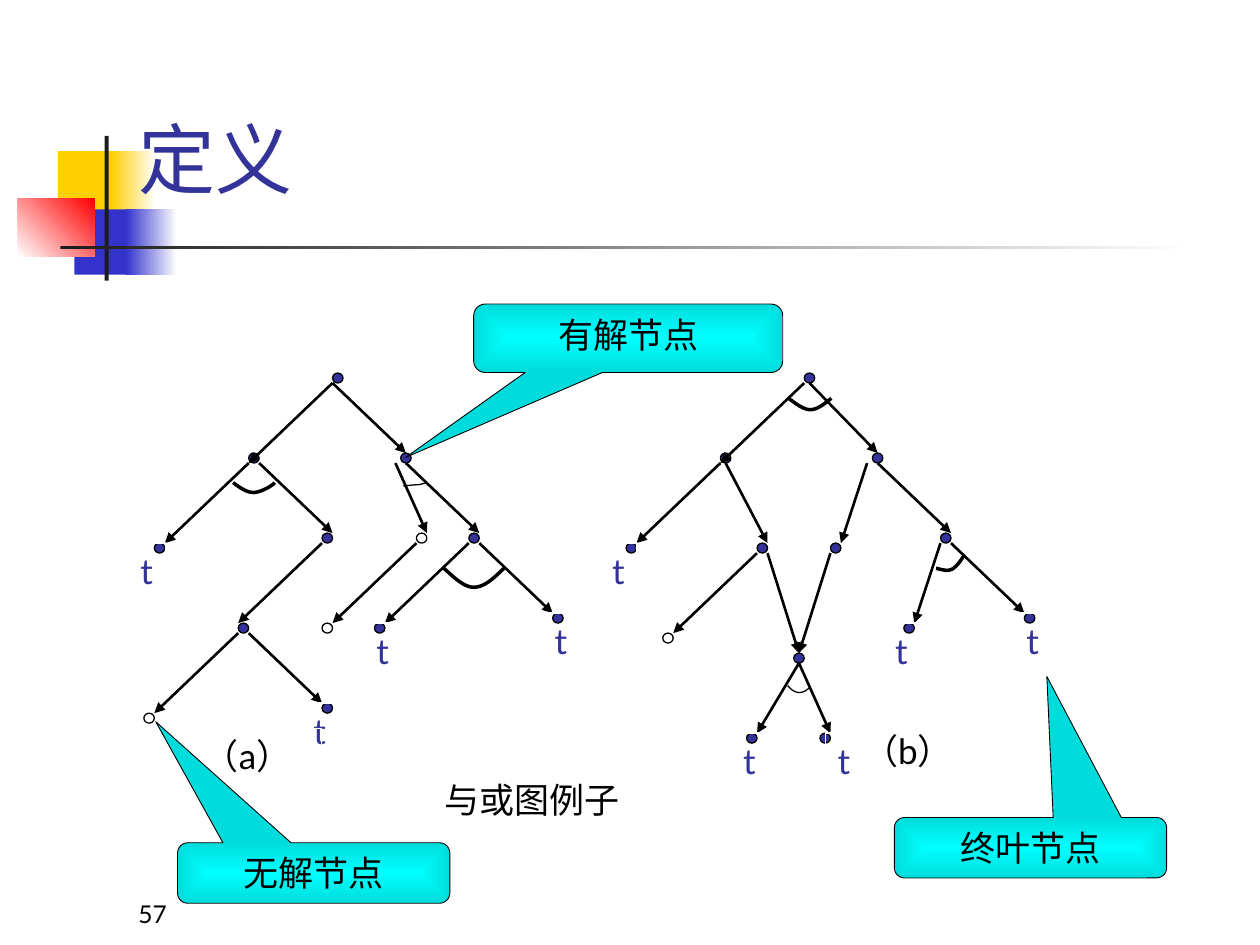
"""Build the definition slide with two and-or graphs and their callouts."""
from lxml.etree import SubElement
from pptx import Presentation
from pptx.dml.color import RGBColor
from pptx.enum.shapes import MSO_CONNECTOR, MSO_SHAPE
from pptx.enum.text import MSO_ANCHOR, PP_ALIGN
from pptx.oxml.ns import qn
from pptx.util import Cm, Pt

BLACK = RGBColor(0x00, 0x00, 0x00)
WHITE = RGBColor(0xFF, 0xFF, 0xFF)
CHARCOAL = RGBColor(0x1C, 0x1C, 0x1C)
NAVY = RGBColor(0x33, 0x33, 0x99)
BLUE = RGBColor(0x33, 0x33, 0xCC)
YELLOW = RGBColor(0xFF, 0xCF, 0x01)
RED = RGBColor(0xFF, 0x00, 0x00)
CYAN = RGBColor(0x00, 0xFF, 0xFF)
TEAL = RGBColor(0x00, 0xDC, 0xDC)

GRID_LEFT, GRID_TOP = Cm(2.9), Cm(7.52)
COLUMN, ROW = Cm(17.75) / 84, Cm(7.26) / 36

DECORATION = [
    ((1.17, 3.05, 1.22, 1.32), (YELLOW,), 0),
    ((2.24, 3.05, 0.91, 1.32), (YELLOW, WHITE), 0),
    ((1.5, 4.22, 1.17, 1.32), (BLUE,), 0),
    ((2.54, 4.22, 1.02, 1.32), (BLUE, WHITE), 0),
    ((0.36, 4.01, 1.55, 1.17), (WHITE, RED), 45),
    ((2.11, 2.74, 0.08, 2.92), (CHARCOAL,), 0),
    ((1.22, 4.95, 22.86, 0.08), (CHARCOAL, WHITE), 0),
]
SOLVED_NODES = [
    (18, 0), (10, 8), (24.5, 8), (1, 17), (17, 16), (31, 16), (9, 25),
    (22, 25), (39, 24), (17, 33),
    (63, 0), (55, 8), (69.5, 8), (46, 17), (58.5, 17), (65.5, 17), (76, 16),
    (72.5, 25), (84, 24), (62, 28), (57.5, 36), (64.5, 36),
]
UNSOLVED_NODES = [(26, 16), (17, 25), (0, 34), (49.5, 26)]
ARROWS = [
    (18, 1, 10, 9), (18, 1, 25, 8), (10, 9, 2, 17), (11, 9, 18, 16),
    (24, 9, 27, 16), (25, 9, 32, 16), (17, 17, 9, 25), (26, 17, 18, 25),
    (31, 17, 23, 25), (32, 17, 39, 24), (9, 26, 1, 34), (10, 26, 17, 33),
    (63, 1, 55, 9), (63.5, 1, 70, 8), (55, 9, 47, 17), (55.5, 9, 59.5, 17),
    (69, 9, 66.5, 17), (70, 9, 77, 16), (58.5, 18, 50.5, 26),
    (59.5, 18, 62.5, 28), (65.5, 18, 62.5, 28), (76, 17, 73.5, 25),
    (77, 17, 84, 24), (62.5, 29, 58.5, 36), (62.5, 29, 65.5, 36),
]
LEAF_LABELS = [
    (-1.5, 17), (21, 25), (15, 33), (38, 24),
    (43.5, 17), (70.5, 25), (56, 36), (83, 24), (65, 36),
]
CAPTIONS = [
    ("与或图例子", (8.71, 15.57, 4.75, 1.27)),
    ("（a）", (3.86, 14.68, 2.62, 1.27)),
    ("（b）", (17.15, 14.58, 2.67, 1.27)),
]
CALLOUTS = [
    ("有解节点", (9.55, 6.13, 6.23, 1.38), (-0.72, 1.74, 0.17)),
    ("无解节点", (3.58, 16.99, 5.49, 1.22), (-0.58, -2.5, 0.17)),
    ("终叶节点", (18.03, 16.48, 5.49, 1.22), (0.06, -2.83, 0.17)),
]
ARCS = [
    (0.75, [(8.13, 9.8), (8.51, 9.75), (8.38, 9.8), (8.59, 9.73)]),
    (0.75, [(15.88, 13.82), (16, 13.97), (16.15, 14.02), (16.31, 13.87)]),
    (2, [(4.7, 9.73), (4.83, 9.83), (4.98, 9.93), (5.11, 9.93),
         (5.26, 9.93), (5.51, 9.78), (5.54, 9.73)]),
    (2, [(8.92, 11.43), (9.14, 11.63), (9.35, 11.84), (9.55, 11.84),
         (9.78, 11.84), (9.98, 11.63), (10.19, 11.43)]),
    (2, [(15.9, 8.03), (16.05, 8.15), (16.21, 8.26), (16.33, 8.26),
         (16.48, 8.26), (16.61, 8.15), (16.76, 8.03)]),
    (2, [(18.87, 11.46), (18.92, 11.46), (19.08, 11.53), (19.18, 11.48),
         (19.25, 11.46), (19.38, 11.3), (19.43, 11.2)]),
]


def set_attributes(target, values):
    """Set each named value on the target."""
    for name, value in values.items():
        setattr(target, name, value)


def grid_point(column, row):
    """Return the slide position of a grid point."""
    return round(GRID_LEFT + column * COLUMN), round(GRID_TOP + row * ROW)


def in_cm(box):
    """Convert numbers in centimetres to lengths."""
    return [Cm(number) for number in box]


def set_line(shape, color, width):
    """Give the shape a solid line."""
    shape.line.color.rgb = color
    shape.line.width = Pt(width)


def set_gradient(shape, colors, angle=0):
    """Fill the shape with a two-colour gradient."""
    shape.fill.gradient()
    shape.fill.gradient_angle = angle
    for stop, color in zip(shape.fill.gradient_stops, colors):
        stop.color.rgb = color


def write_text(shape, text, size=20, color=BLACK, font="Lato",
               anchor=MSO_ANCHOR.TOP, alignment=PP_ALIGN.LEFT):
    """Write one formatted paragraph into the shape."""
    frame = shape.text_frame
    set_attributes(frame, {"word_wrap": True, "vertical_anchor": anchor})
    paragraph = frame.paragraphs[0]
    paragraph.alignment = alignment
    run = paragraph.add_run()
    run.text = text
    set_attributes(run.font, {"size": Pt(size), "name": font})
    run.font.color.rgb = color


def add_decoration(slide, box, colors, angle):
    """Add a borderless block in one colour or a gradient."""
    shape = slide.shapes.add_shape(MSO_SHAPE.RECTANGLE, *in_cm(box))
    shape.shadow.inherit = False
    shape.line.fill.background()
    if len(colors) > 1:
        set_gradient(shape, colors, angle)
    else:
        shape.fill.solid()
        shape.fill.fore_color.rgb = colors[0]


def add_node(slide, position, color):
    """Add a graph node at a grid position."""
    shape = slide.shapes.add_shape(
        MSO_SHAPE.OVAL, *grid_point(*position), round(COLUMN), round(ROW))
    shape.shadow.inherit = False
    shape.fill.solid()
    shape.fill.fore_color.rgb = color
    set_line(shape, BLACK, 0.75)


def add_arrow(slide, start, end):
    """Add an arrow between two grid points."""
    connector = slide.shapes.add_connector(
        MSO_CONNECTOR.STRAIGHT, *grid_point(*start), *grid_point(*end))
    set_line(connector, BLACK, 1.5)
    properties = connector._element.spPr
    SubElement(properties.find(qn("a:ln")), qn("a:tailEnd"), type="triangle")
    SubElement(properties, qn("a:effectLst"))


def add_label(slide, text, box, color=BLACK):
    """Add a text box with a thin white border."""
    shape = slide.shapes.add_textbox(*box)
    set_line(shape, WHITE, 0.75)
    write_text(shape, text, color=color)


def add_callout(slide, text, box, adjustments):
    """Add a rounded callout that glows from its centre."""
    shape = slide.shapes.add_shape(
        MSO_SHAPE.ROUNDED_RECTANGULAR_CALLOUT, *in_cm(box))
    shape.shadow.inherit = False
    for index, value in enumerate(adjustments):
        shape.adjustments[index] = value
    set_gradient(shape, (CYAN, TEAL))
    gradient = shape._element.spPr.find(qn("a:gradFill"))
    gradient.remove(gradient.find(qn("a:lin")))
    center = SubElement(gradient, qn("a:path"), path="rect")
    SubElement(center, qn("a:fillToRect"),
               dict.fromkeys(("l", "t", "r", "b"), "50000"))
    set_line(shape, BLACK, 0.5)
    write_text(shape, text, font="Arial", alignment=PP_ALIGN.CENTER)


def curve_points(controls, steps=12):
    """Return points along a chain of cubic curves."""
    points = [controls[0]]
    for first in range(0, len(controls) - 1, 3):
        for step in range(1, steps + 1):
            t = step / steps
            weights = ((1 - t) ** 3, 3 * t * (1 - t) ** 2,
                       3 * t ** 2 * (1 - t), t ** 3)
            segment = controls[first:first + 4]
            points.append(tuple(
                sum(weight * value for weight, value in zip(weights, axis))
                for axis in zip(*segment)))
    return [in_cm(point) for point in points]


def add_arc(slide, width, controls):
    """Add an open arc that joins the branches of an and-node."""
    start, *rest = curve_points(controls)
    builder = slide.shapes.build_freeform(*start)
    builder.add_line_segments(rest, close=False)
    shape = builder.convert_to_shape()
    shape.shadow.inherit = False
    shape.fill.background()
    set_line(shape, BLACK, width)


def main():
    """Build and save the slide."""
    presentation = Presentation()
    set_attributes(presentation,
                   {"slide_width": Cm(25.4), "slide_height": Cm(19.05)})
    slide = presentation.slides.add_slide(presentation.slide_layouts[6])
    for block in DECORATION:
        add_decoration(slide, *block)
    number = slide.shapes.add_textbox(*in_cm((2.54, 17.58, 5.28, 1.27)))
    write_text(number, "57", size=14, anchor=MSO_ANCHOR.BOTTOM)
    title = slide.shapes.add_textbox(*in_cm((2.54, 1.7, 19.69, 2.54)))
    write_text(title, "定义", size=44, color=NAVY, anchor=MSO_ANCHOR.BOTTOM)
    for nodes, color in ((SOLVED_NODES, NAVY), (UNSOLVED_NODES, WHITE)):
        for position in nodes:
            add_node(slide, position, color)
    for arrow in ARROWS:
        add_arrow(slide, arrow[:2], arrow[2:])
    for position in LEAF_LABELS:
        add_label(slide, "t", (*grid_point(*position), Cm(0.75), Cm(1.1)), NAVY)
    for text, box in CAPTIONS:
        add_label(slide, text, in_cm(box))
    for callout in CALLOUTS:
        add_callout(slide, *callout)
    for arc in ARCS:
        add_arc(slide, *arc)
    presentation.save("out.pptx")


if __name__ == "__main__":
    main()
